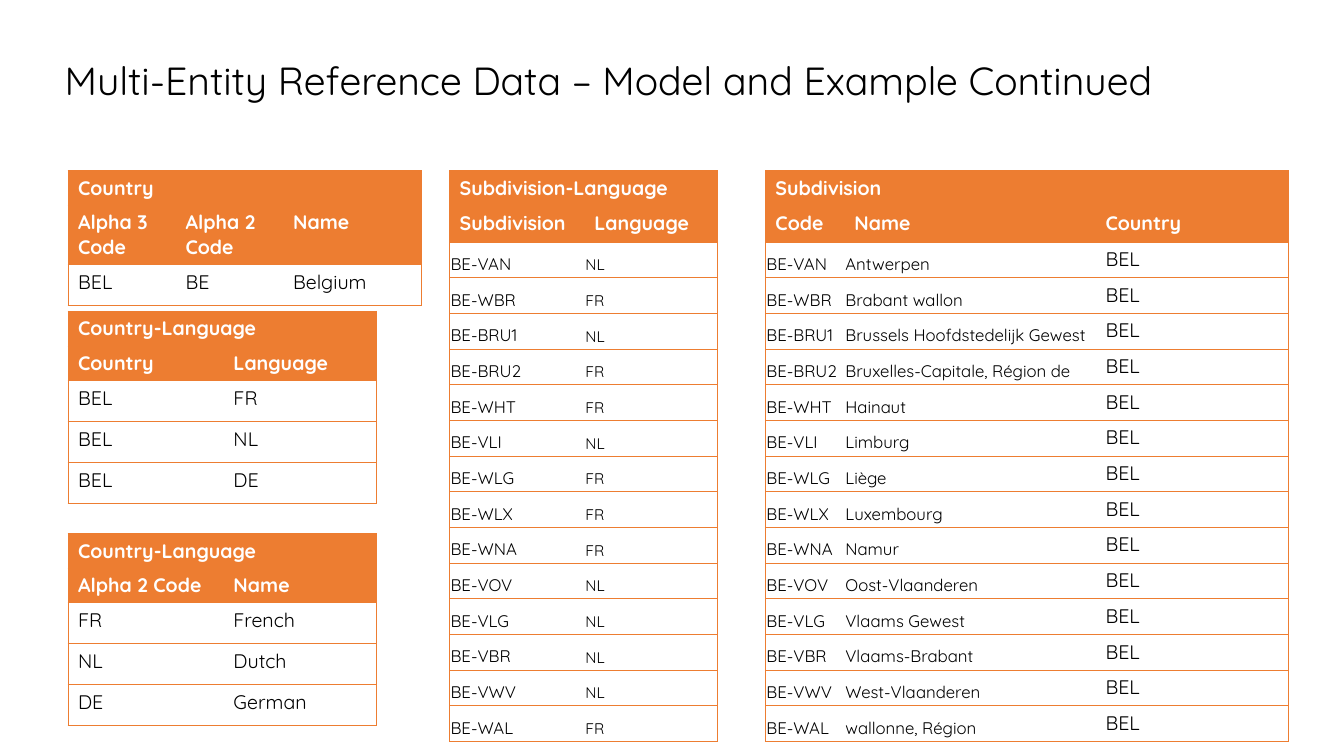
from lxml.etree import SubElement
from pptx import Presentation
from pptx.dml.color import RGBColor
from pptx.enum.text import MSO_ANCHOR as Anchor, MSO_AUTO_SIZE as AutoSize, PP_ALIGN as Align
from pptx.oxml.ns import qn
from pptx.util import Inches, Pt

FONT = "Quicksand"
ORANGE, WHITE, BLACK = "ED7D31", "FFFFFF", "000000"
NO_STYLE = "{2D5ABB26-0587-4C30-8999-92F81FD0307C}"
GRID_COLUMNS, GRID_ROWS = 160, 90
HEADING, ENTRY, COMPACT = 4.12, 4.88, 4.25  # row heights in grid rows

SUBDIVISIONS = [
    ("BE-VAN", "NL", "Antwerpen"),
    ("BE-WBR", "FR", "Brabant wallon"),
    ("BE-BRU1", "NL", "Brussels Hoofdstedelijk Gewest"),
    ("BE-BRU2", "FR", "Bruxelles-Capitale, Région de"),
    ("BE-WHT", "FR", "Hainaut"),
    ("BE-VLI", "NL", "Limburg"),
    ("BE-WLG", "FR", "Liège"),
    ("BE-WLX", "FR", "Luxembourg"),
    ("BE-WNA", "FR", "Namur"),
    ("BE-VOV", "NL", "Oost-Vlaanderen"),
    ("BE-VLG", "NL", "Vlaams Gewest"),
    ("BE-VBR", "NL", "Vlaams-Brabant"),
    ("BE-VWV", "NL", "West-Vlaanderen"),
    ("BE-WAL", "FR", "wallonne, Région"),
]


def color(value):
    return RGBColor.from_string(value)


def write(frame, text, size=14, fill=BLACK, bold=False, spacing=None):
    paragraph = frame.paragraphs[0]
    paragraph.alignment = Align.LEFT
    if spacing:
        paragraph.line_spacing = spacing
    run = paragraph.add_run()
    run.text = text
    run.font.name, run.font.size, run.font.bold = FONT, Pt(size), bold
    run.font.color.rgb = color(fill)


class SlideBuilder:
    def __init__(self, presentation):
        self.slide = presentation.slides.add_slide(presentation.slide_layouts[5])
        self.column = presentation.slide_width / GRID_COLUMNS
        self.row = presentation.slide_height / GRID_ROWS

    def across(self, columns):
        return round(columns * self.column)

    def down(self, rows):
        return round(rows * self.row)

    def title(self, text, left, top, width, height):
        shape = self.slide.shapes.title
        shape.left, shape.top = self.across(left), self.down(top)
        shape.width, shape.height = self.across(width), self.down(height)
        frame = shape.text_frame
        frame.word_wrap, frame.auto_size = True, AutoSize.NONE
        frame.vertical_anchor = Anchor.MIDDLE
        write(frame, text, size=28, spacing=0.9)

    def borders(self, cell, sides):
        properties = cell._tc.get_or_add_tcPr()
        for side in "LRTB":
            if side in sides:
                line = SubElement(properties, qn(f"a:ln{side}"), w=str(Pt(0.5)))
                fill = SubElement(line, qn("a:solidFill"))
                SubElement(fill, qn("a:srgbClr"), val=ORANGE)

    def table(self, name, headings, entries, left, top, widths, heights, compact=()):
        """compact maps a column index to its smaller, bottom-aligned text size."""
        compact = dict(compact)
        rows = [[name], headings, *entries]
        table = self.slide.shapes.add_table(
            len(rows), len(headings), self.across(left), self.down(top),
            self.across(sum(widths)), self.down(sum(heights))).table
        table.horz_banding = False
        table._tbl.tblPr.find(qn("a:tableStyleId")).text = NO_STYLE
        for column, width in zip(table.columns, widths):
            column.width = self.across(width)
        for row, height in zip(table.rows, heights):
            row.height = self.down(height)
        table.cell(0, 0).merge(table.cell(0, len(headings) - 1))

        for row_index, row in enumerate(rows):
            heading = row_index < 2
            for column_index, text in enumerate(row):
                cell = table.cell(row_index, column_index)
                left_side = "L" if column_index == 0 else ""
                right_side = "R" if column_index == len(row) - 1 else ""
                self.borders(cell, "TB" + left_side + right_side)
                if heading:
                    cell.fill.solid()
                    cell.fill.fore_color.rgb = color(ORANGE)
                else:
                    cell.fill.background()
                size = 14
                if not heading and column_index in compact:
                    size = compact[column_index]
                    cell.vertical_anchor = Anchor.BOTTOM
                    cell.margin_left = cell.margin_right = Inches(0.01)
                    cell.margin_top = cell.margin_bottom = Inches(0.03)
                write(cell.text_frame, text, size=size, bold=heading,
                      fill=WHITE if heading else BLACK)


def main():
    presentation = Presentation()
    presentation.slide_width, presentation.slide_height = Inches(13.33), Inches(7.5)
    builder = SlideBuilder(presentation)
    builder.title("Multi-Entity Reference Data – Model and Example Continued",
                  6.5, 6.5, 148.2, 6.7)

    # Country and its subdivisions
    table_top, first_left = 20.3, 8.1
    builder.table("Country", ["Alpha 3 Code", "Alpha 2 Code", "Name"],
                  [("BEL", "BE", "Belgium")], first_left, table_top,
                  [12.8, 12.8, 16.5], [HEADING, 7.05, ENTRY])
    compact_heights = [COMPACT] * (len(SUBDIVISIONS) + 2)
    builder.table("Subdivision", ["Code", "Name", "Country"],
                  [(code, name, "BEL") for code, _, name in SUBDIVISIONS],
                  91.12, table_top, [9.4, 29.9, 22.9], compact_heights, {0: 12, 1: 12})

    # Languages of the country
    language_tables = [
        (37.05, ["Country", "Language"], [("BEL", "FR"), ("BEL", "NL"), ("BEL", "DE")]),
        (63.5, ["Alpha 2 Code", "Name"],
         [("FR", "French"), ("NL", "Dutch"), ("DE", "German")]),
    ]
    for top, headings, entries in language_tables:
        builder.table("Country-Language", headings, entries, first_left, top,
                      [18.5, 18.2], [HEADING] * 2 + [ENTRY] * len(entries))

    # Languages of the subdivisions
    builder.table("Subdivision-Language", ["Subdivision", "Language"],
                  [(code, language) for code, language, _ in SUBDIVISIONS],
                  53.52, table_top, [16.05, 15.85], compact_heights, {0: 12, 1: 11})

    presentation.save("out.pptx")


if __name__ == "__main__":
    main()
